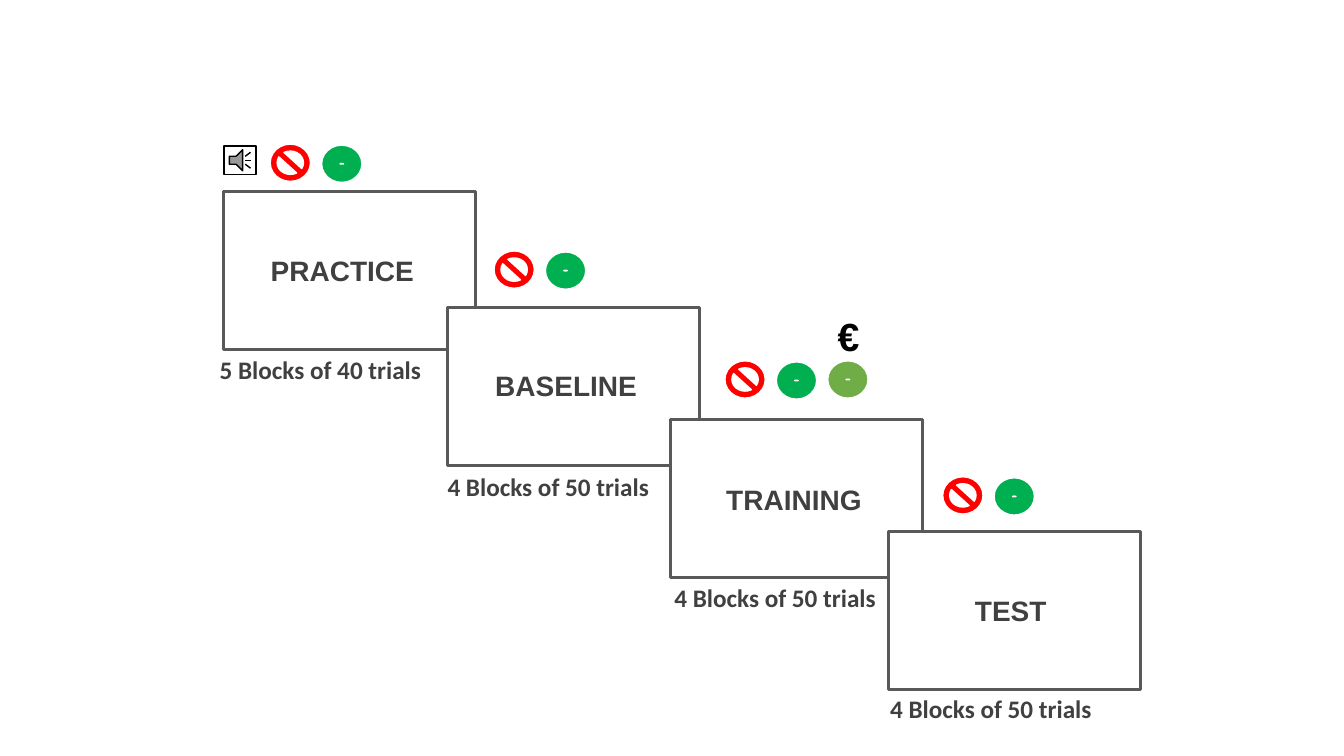
from pptx import Presentation
from pptx.dml.color import RGBColor
from pptx.enum.shapes import MSO_SHAPE
from pptx.enum.text import MSO_ANCHOR, MSO_AUTO_SIZE, PP_ALIGN
from pptx.util import Inches, Pt

RECT, DONUT = MSO_SHAPE.RECTANGLE, MSO_SHAPE.DONUT
STOP, SOUND = MSO_SHAPE.NO_SYMBOL, MSO_SHAPE.ACTION_BUTTON_SOUND
LEFT, CENTER = PP_ALIGN.LEFT, PP_ALIGN.CENTER
TOP, FIT = MSO_ANCHOR.TOP, MSO_AUTO_SIZE.SHAPE_TO_FIT_TEXT

WHITE, BLACK, GREY, DARK = "FFFFFF", "000000", "595959", "404040"
RED, GREEN, LIGHT_GREEN = "FF0000", "00B050", "70AD47"
BOX_W, BOX_H = 2.5, 1.57
ICON_W, ICON_H, ICON_STEP = 0.4, 0.37, 0.51

LABEL = {"name": "Arial", "size": Pt(20), "bold": True}
CAPTION = {"name": "Calibri", "size": Pt(18), "bold": True}
EURO = {"name": "Arial", "size": Pt(28), "bold": True}

PHASES = [
    {"title": "PRACTICE", "trials": "5 Blocks of 40 trials", "at": (2.22, 1.9),
     "label": (0.05, 0.57, 2.25), "caption": (-0.14, 1.57), "cues": (0.46, -0.47)},
    {"title": "BASELINE", "trials": "4 Blocks of 50 trials", "at": (4.44, 3.05),
     "label": (0.05, 0.56, 2.25), "caption": (-0.1, 1.58), "cues": (0.46, -0.56)},
    {"title": "TRAINING", "trials": "4 Blocks of 50 trials", "at": (6.65, 4.16),
     "label": (0.1, 0.58, 2.25), "caption": (-0.06, 1.57), "cues": (0.54, -0.58)},
    {"title": "TEST", "trials": "4 Blocks of 50 trials", "at": (8.81, 5.27),
     "label": (-0.12, 0.57, 2.67), "caption": (-0.08, 1.56), "cues": (0.54, -0.54)},
]


def rgb(value):
    """Turn a hex string into a colour."""
    return RGBColor.from_string(value)


def add_shape(slide, kind, x, y, w, h, fill, line, weight):
    """Add a filled and outlined preset shape without a shadow."""
    sp = slide.shapes.add_shape(kind, Inches(x), Inches(y), Inches(w), Inches(h))
    sp.shadow.inherit = False
    sp.fill.solid()
    sp.fill.fore_color.rgb = rgb(fill)
    sp.line.color.rgb = rgb(line)
    sp.line.width = Pt(weight)
    return sp


def write(sp, text, font, color, align, wrap):
    """Put one formatted line of text into a shape."""
    tf = sp.text_frame
    for key, value in {"word_wrap": wrap, "auto_size": FIT, "vertical_anchor": TOP}.items():
        setattr(tf, key, value)
    p = tf.paragraphs[0]
    p.alignment = align
    r = p.add_run()
    r.text = text
    for key, value in font.items():
        setattr(r.font, key, value)
    r.font.color.rgb = rgb(color)


def add_text(slide, x, y, w, h, text, font, color, align=LEFT, wrap=True):
    """Add a text box holding one line."""
    sp = slide.shapes.add_textbox(Inches(x), Inches(y), Inches(w), Inches(h))
    write(sp, text, font, color, align, wrap)


def add_disc(slide, x, y, color):
    """Add a green go cue with a pinhole centre."""
    sp = add_shape(slide, DONUT, x, y, ICON_W, ICON_H, color, WHITE, 1)
    sp.adjustments[0] = 0.494


def add_cues(slide, x, y):
    """Add the stop and go cues side by side."""
    add_shape(slide, STOP, x, y, ICON_W, ICON_H, RED, WHITE, 1)
    add_disc(slide, x + ICON_STEP, y + 0.01, GREEN)


def add_reward(slide, x, y):
    """Add the rewarded go cue with the euro sign above it."""
    add_disc(slide, x, y, LIGHT_GREEN)
    add_text(slide, x, y - 0.53, 0.55, 0.57, "€", EURO, BLACK)


def add_phase(slide, phase):
    """Add a phase box with its label, caption and cues."""
    x, y = phase["at"]
    add_shape(slide, RECT, x, y, BOX_W, BOX_H, WHITE, GREY, 2.25)
    dx, dy, w = phase["label"]
    add_text(slide, x + dx, y + dy, w, 0.44, phase["title"], LABEL, DARK, CENTER)
    dx, dy = phase["caption"]
    add_text(slide, x + dx, y + dy, 2.22, 0.4, phase["trials"], CAPTION, DARK, wrap=False)
    dx, dy = phase["cues"]
    add_cues(slide, x + dx, y + dy)


def main():
    """Build the slide of the four phases and save it."""
    prs = Presentation()
    prs.slide_width, prs.slide_height = Inches(13.33), Inches(7.5)
    slide = prs.slides.add_slide(prs.slide_layouts[6])
    for phase in PHASES:
        add_phase(slide, phase)
    add_reward(slide, 8.21, 3.58)
    add_shape(slide, SOUND, 2.22, 1.45, 0.32, 0.28, WHITE, BLACK, 1)
    prs.save("out.pptx")


if __name__ == "__main__":
    main()
